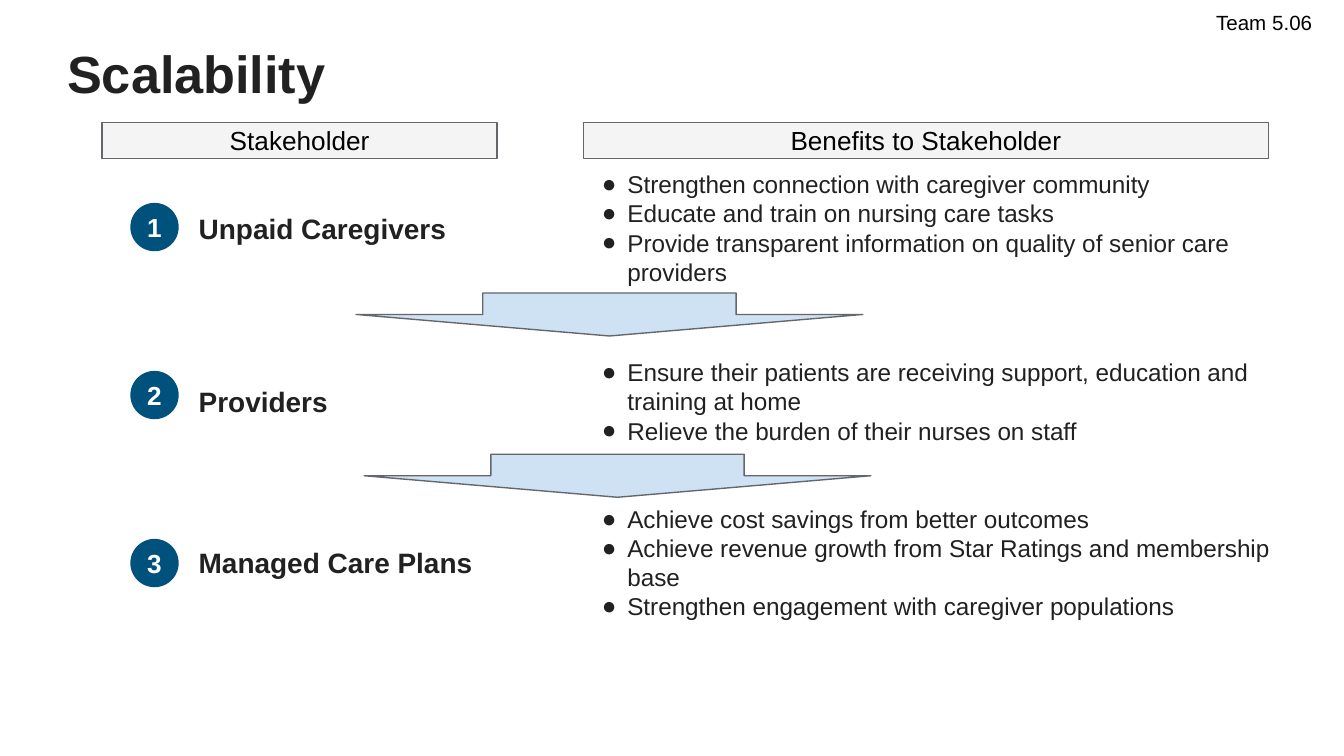
from lxml.etree import SubElement
from pptx import Presentation
from pptx.dml.color import RGBColor
from pptx.enum.shapes import MSO_SHAPE
from pptx.enum.text import MSO_ANCHOR, PP_ALIGN
from pptx.oxml.ns import qn
from pptx.util import Inches, Pt

COLOURS = {"ink": "212121", "black": "000000", "white": "FFFFFF", "navy": "00517C",
           "sky": "CFE2F3", "pale": "F4F4F4", "outline": "63666A"}
FORMATS = {
    "title": {"size": Pt(28), "bold": True},
    "team": {"size": Pt(11)},
    "header": {"size": Pt(14)},
    "number": {"size": Pt(14), "bold": True},
    "name": {"size": Pt(15), "bold": True},
    "benefit": {"size": Pt(13)},
}
STAKEHOLDERS = [
    ("Unpaid Caregivers", 1.32, 5.32, [
        "Strengthen connection with caregiver community",
        "Educate and train on nursing care tasks",
        "Provide transparent information on quality of senior care providers"]),
    ("Providers", 2.61, 5.32, [
        "Ensure their patients are receiving support, education and training at home",
        "Relieve the burden of their nurses on staff"]),
    ("Managed Care Plans", 3.81, 5.56, [
        "Achieve cost savings from better outcomes",
        "Achieve revenue growth from Star Ratings and membership base",
        "Strengthen engagement with caregiver populations"]),
]


def colour(name):
    """Return the named colour."""
    return RGBColor.from_string(COLOURS[name])


def write(shape, lines, style, ink="ink", inset=0.1, anchor=MSO_ANCHOR.MIDDLE,
          align=PP_ALIGN.LEFT):
    """Fill a shape with one paragraph per line and return the paragraphs."""
    frame = shape.text_frame
    settings = {"word_wrap": True, "vertical_anchor": anchor}
    for side in ("left", "right", "top", "bottom"):
        settings[f"margin_{side}"] = Inches(inset)
    for key, value in settings.items():
        setattr(frame, key, value)
    for index, line in enumerate(lines):
        para = frame.paragraphs[0] if index == 0 else frame.add_paragraph()
        para.alignment = align
        span = para.add_run()
        span.text = line
        for key, value in {"name": "Arial", **FORMATS[style]}.items():
            setattr(span.font, key, value)
        span.font.color.rgb = colour(ink)
    return frame.paragraphs


def add_text(page, box, lines, style, **options):
    """Add a text box and return its paragraphs."""
    return write(page.shapes.add_textbox(*map(Inches, box)), lines, style, **options)


def add_block(page, kind, box, fill, line=None):
    """Add a flat filled shape, outlined if a line colour is given."""
    shape = page.shapes.add_shape(kind, *map(Inches, box))
    shape.shadow.inherit = False
    shape.fill.solid()
    shape.fill.fore_color.rgb = colour(fill)
    if line:
        shape.line.color.rgb = colour(line)
        shape.line.width = Pt(0.75)
    else:
        shape.line.fill.background()
    return shape


def add_bullet(para):
    """Give a paragraph a round bullet and a hanging indent."""
    properties = para._p.get_or_add_pPr()
    properties.set("marL", str(Inches(0.19)))
    properties.set("indent", str(Inches(-0.22)))
    bullet_colour = SubElement(properties, qn("a:buClr"))
    SubElement(bullet_colour, qn("a:srgbClr"), val=COLOURS["ink"])
    SubElement(properties, qn("a:buFont"), typeface="Arial")
    SubElement(properties, qn("a:buChar"), char="●")


def add_header(page, box, label):
    """Add a column header bar."""
    bar = add_block(page, MSO_SHAPE.RECTANGLE, box, "pale", "outline")
    write(bar, [label], "header", ink="black", align=PP_ALIGN.CENTER)


def add_stakeholder(page, box, badge_top, number, name, benefits):
    """Add a numbered stakeholder on the left and its benefits on the right."""
    left, top, width, height = box
    badge = add_block(page, MSO_SHAPE.OVAL, (left, badge_top, 0.36, 0.36), "navy")
    write(badge, [str(number)], "number", ink="white", inset=0, align=PP_ALIGN.CENTER)
    add_text(page, (left + 0.41, top, 2.71, height), [name], "name")
    benefit_box = (left + 3.41, top, width - 3.41, height)
    for para in add_text(page, benefit_box, benefits, "benefit"):
        add_bullet(para)


def build_page(page):
    """Place every region of the scalability slide."""
    add_text(page, (0.5, 0.31, 8.32, 0.47), ["Scalability"], "title", inset=0,
             anchor=MSO_ANCHOR.TOP)
    add_text(page, (8.95, -0.02, 1.62, 0.39), ["Team 5.06"], "team", ink="black",
             anchor=MSO_ANCHOR.TOP)
    add_header(page, (0.76, 0.91, 2.94, 0.27), "Stakeholder")
    add_header(page, (4.34, 0.91, 5.1, 0.27), "Benefits to Stakeholder")
    for index, (name, top, benefit_width, benefits) in enumerate(STAKEHOLDERS):
        add_stakeholder(page, (0.97, top, 3.41 + benefit_width, 0.75),
                        1.51 + 1.25 * index, index + 1, name, benefits)
    for left, top in ((2.65, 2.18), (2.71, 3.38)):
        add_block(page, MSO_SHAPE.DOWN_ARROW, (left, top, 3.77, 0.32), "sky", "outline")


def main():
    """Build the deck and save it."""
    deck = Presentation()
    deck.slide_width = Inches(10)
    deck.slide_height = deck.slide_width * 9 // 16
    build_page(deck.slides.add_slide(deck.slide_layouts[6]))
    deck.save("out.pptx")


if __name__ == "__main__":
    main()
